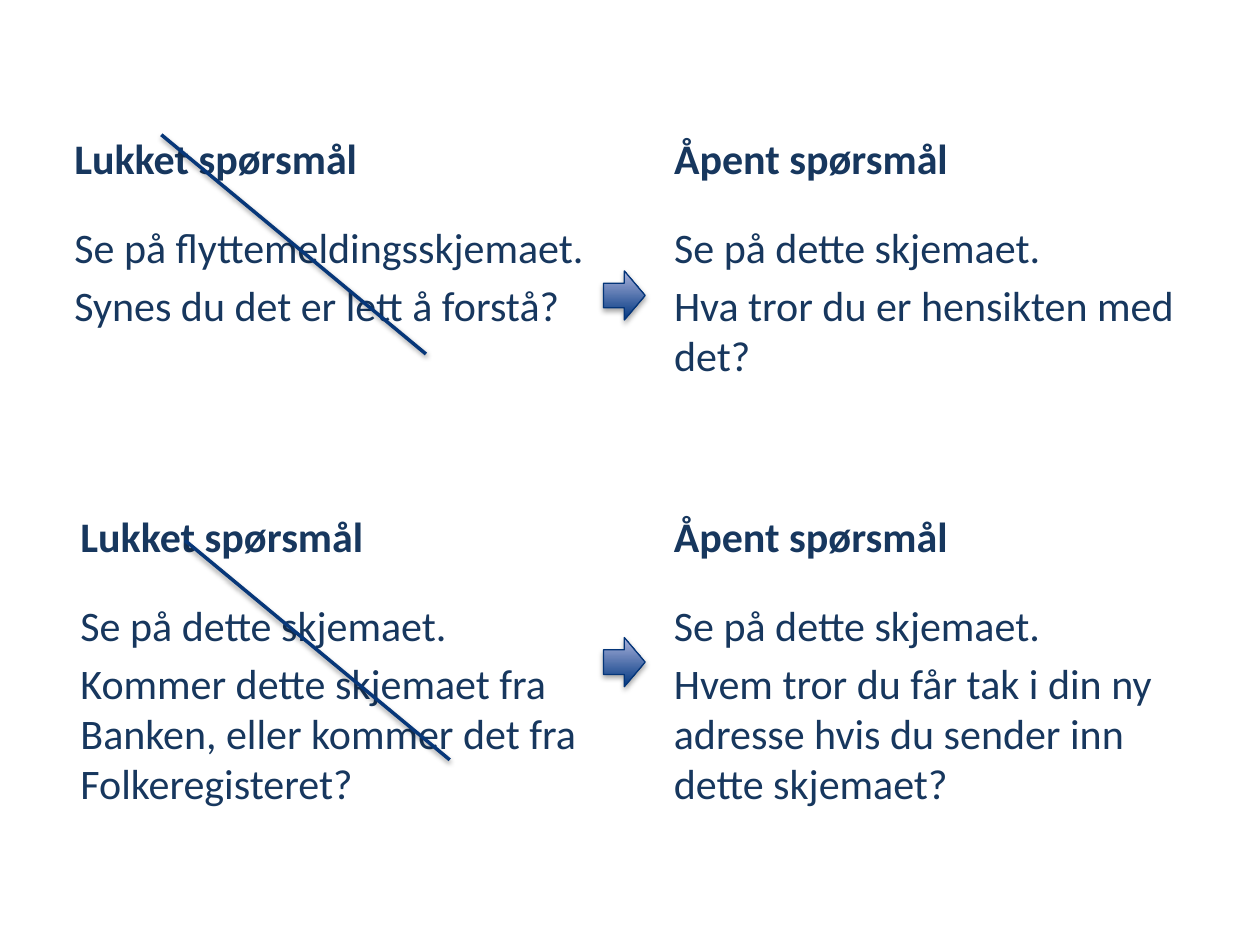
from dataclasses import dataclass

from lxml.etree import SubElement
from pptx import Presentation
from pptx.dml.color import RGBColor as RGB
from pptx.enum.shapes import MSO_CONNECTOR as Connector, MSO_SHAPE as Shape
from pptx.enum.text import MSO_ANCHOR as Anchor, MSO_AUTO_SIZE as AutoSize
from pptx.oxml.ns import qn
from pptx.util import Pt


@dataclass(frozen=True)
class Theme:
    font: str = "Calibri"
    size: float = 24
    text: RGB = RGB(0x17, 0x37, 0x5E)
    arrow_dark: RGB = RGB(0x00, 0x36, 0x80)
    arrow_light: RGB = RGB(0xAB, 0xB3, 0xDC)
    arrow_edge: RGB = RGB(0x04, 0x35, 0x79)
    strike: RGB = RGB(0x07, 0x37, 0x79)
    shadow: str = "000000"


class SlideBuilder:
    """Holds the theme and the slide being filled; lengths are in points."""

    def __init__(self, slide, theme):
        self.slide = slide
        self.theme = theme

    def text(self, lines, box, holder=None, heading=False):
        """Fill the given placeholder, or a new text box if there is none."""
        left, top, width, height = (Pt(length) for length in box)
        if holder is None:
            holder = self.slide.shapes.add_textbox(left, top, width, height)
        else:
            holder.left, holder.top = left, top
            holder.width, holder.height = width, height
        frame = holder.text_frame
        frame.text = "\n".join(lines)
        frame.word_wrap = True
        frame.auto_size = AutoSize.NONE
        frame.vertical_anchor = Anchor.BOTTOM if heading else Anchor.TOP
        for number, paragraph in enumerate(frame.paragraphs):
            props = paragraph._p.get_or_add_pPr()
            props.set("marL", "0")
            props.set("indent", "0")
            SubElement(props, qn("a:buNone"))
            paragraph.space_before = Pt(4 if number else 0)
            for run in paragraph.runs:
                run.font.name = self.theme.font
                run.font.size = Pt(self.theme.size)
                run.font.bold = heading
                run.font.color.rgb = self.theme.text

    def shadow(self, shape, opacity, distance):
        """Add a soft shadow straight below the shape."""
        effects = SubElement(shape._element.spPr, qn("a:effectLst"))
        outer = SubElement(effects, qn("a:outerShdw"), blurRad=str(Pt(3.1)),
                           dist=str(Pt(distance)), dir="5400000", rotWithShape="0")
        color = SubElement(outer, qn("a:srgbClr"), val=self.theme.shadow)
        SubElement(color, qn("a:alpha"), val=str(opacity * 1000))

    def arrow(self, left, top, width, height):
        arrow = self.slide.shapes.add_shape(
            Shape.RIGHT_ARROW, Pt(left), Pt(top), Pt(width), Pt(height))
        arrow.fill.gradient()
        arrow.fill.gradient_angle = 90
        dark, light = arrow.fill.gradient_stops
        dark.color.rgb = self.theme.arrow_dark
        light.color.rgb = self.theme.arrow_light
        arrow.line.color.rgb = self.theme.arrow_edge
        arrow.line.width = Pt(0.75)
        self.shadow(arrow, 35, 1.8)

    def strike(self, left, top, width, height):
        """Cross out a question with a falling diagonal."""
        line = self.slide.shapes.add_connector(
            Connector.STRAIGHT, Pt(left), Pt(top), Pt(left + width), Pt(top + height))
        line.line.color.rgb = self.theme.strike
        line.line.width = Pt(2)
        self.shadow(line, 38, 1.6)


CLOSED, OPEN = "Lukket spørsmål", "Åpent spørsmål"
FORM = "Se på dette skjemaet."
COLUMN_WIDTH, HEADING_HEIGHT, QUESTION_HEIGHT = 318.2, 50.4, 139.7
FIRST_TOP, ROW_STEP, QUESTION_OFFSET = 57.6, 216, 65.5
OPEN_LEFT = 378

# Per row: left edge of the closed question, its lines, lines of the open question
COMPARISONS = [
    (35.3, ["Se på flyttemeldingsskjemaet.", "Synes du det er lett å forstå?"],
     [FORM, "Hva tror du er hensikten med det?"]),
    (38.9, [FORM, "Kommer dette skjemaet fra Banken, eller kommer det fra Folkeregisteret?"],
     [FORM, "Hvem tror du får tak i din ny adresse hvis du sender inn dette skjemaet?"]),
]
ARROW_TOPS = [154.8, 364.3]
STRIKE_STARTS = [(92.2, 77), (105.8, 308.9)]


def main():
    deck = Presentation()
    deck.slide_width, deck.slide_height = Pt(720), Pt(540)
    slide = deck.slides.add_slide(deck.slide_layouts.get_by_name("Comparison"))
    title, *holders = slide.placeholders
    title._element.getparent().remove(title._element)

    builder = SlideBuilder(slide, Theme())
    free_holders = iter(holders)
    for row, (closed_left, closed, opened) in enumerate(COMPARISONS):
        top = FIRST_TOP + row * ROW_STEP
        for left, heading, question in ((closed_left, CLOSED, closed),
                                        (OPEN_LEFT, OPEN, opened)):
            builder.text([heading], (left, top, COLUMN_WIDTH, HEADING_HEIGHT),
                         next(free_holders, None), heading=True)
            builder.text(question, (left, top + QUESTION_OFFSET, COLUMN_WIDTH, QUESTION_HEIGHT),
                         next(free_holders, None))
    for top in ARROW_TOPS:
        builder.arrow(344.9, top, 23.8, 28.1)
    for left, top in STRIKE_STARTS:
        builder.strike(left, top, 151.2, 125.3)
    deck.save("out.pptx")


if __name__ == "__main__":
    main()
